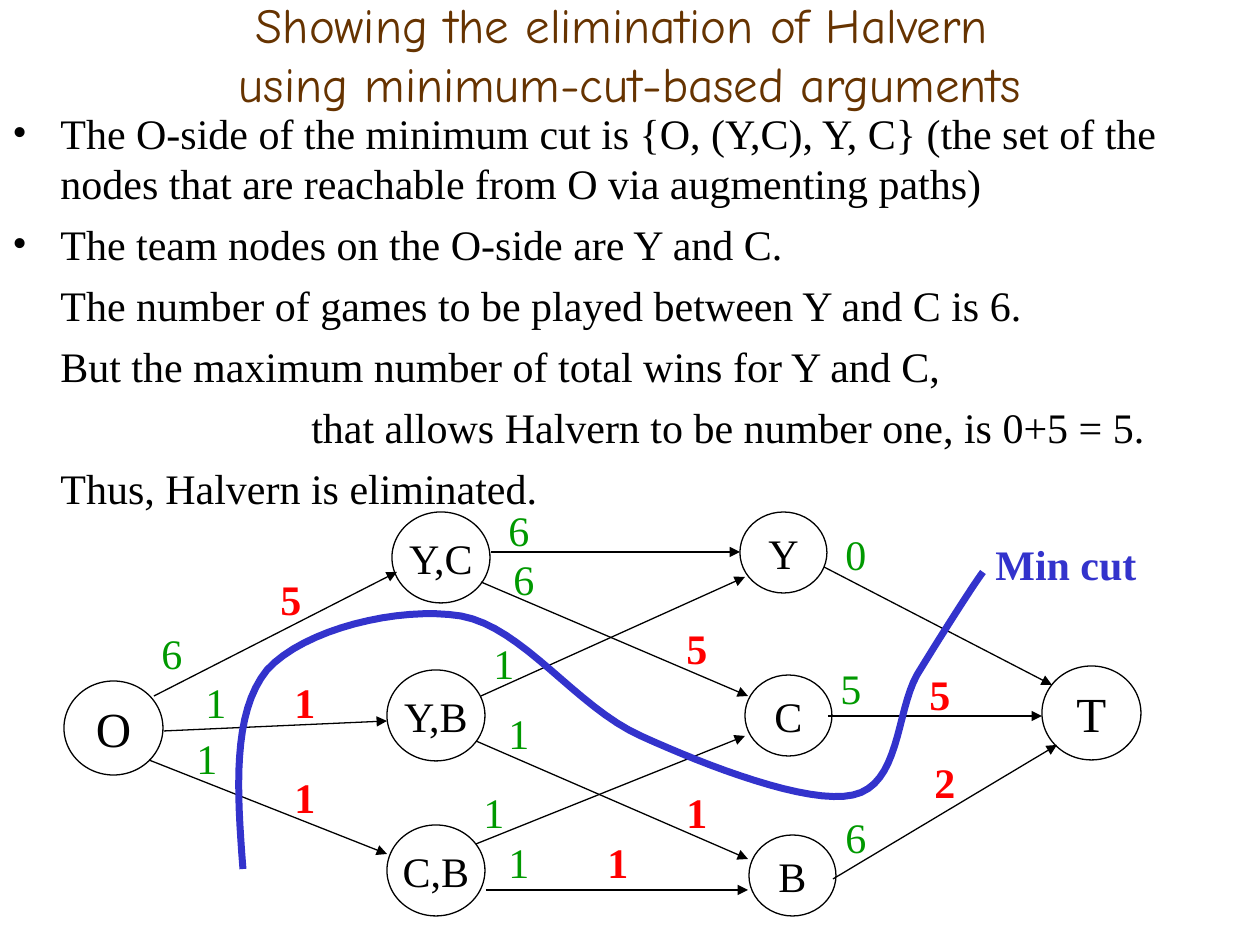
from lxml.etree import SubElement
from pptx import Presentation
from pptx.dml.color import RGBColor
from pptx.enum.shapes import MSO_CONNECTOR as Connector, MSO_SHAPE as Shape
from pptx.enum.text import MSO_ANCHOR as Anchor, PP_ALIGN as Align
from pptx.oxml.ns import qn
from pptx.util import Emu, Pt

SCALE = 914400 // 126
BLACK, WHITE, BROWN = "000000", "FFFFFF", "663300"
GREEN, RED, BLUE = "009900", "FF0000", "3333CC"


def px(length):
    return Emu(round(length * SCALE))


def color(value):
    return RGBColor.from_string(value)


def bezier(start, control1, control2, end, steps=16):
    for step in range(1, steps + 1):
        t = step / steps
        u = 1 - t
        yield tuple(
            u**3 * a + 3 * u * u * t * b + 3 * u * t * t * c + t**3 * d
            for a, b, c, d in zip(start, control1, control2, end)
        )


class Canvas:
    font = "Times New Roman"
    size = 24
    hairline = 0.75

    def __init__(self, slide):
        self.slide = slide
        self.shapes = slide.shapes

    def style(self, paragraph, size=size, fill=BLACK, bold=False, font=font):
        paragraph.font.name = font
        paragraph.font.size = Pt(size)
        paragraph.font.bold = bold
        paragraph.font.color.rgb = color(fill)

    def box(self, left, top, width, height, wrap=True):
        shape = self.shapes.add_textbox(px(left), px(top), px(width), px(height))
        shape.text_frame.word_wrap = wrap
        return shape.text_frame

    def title(self, text, left, top, width, height):
        frame = self.box(left, top, width, height)
        frame.vertical_anchor = Anchor.MIDDLE
        paragraph = frame.paragraphs[0]
        paragraph.text = text
        paragraph.alignment = Align.CENTER
        self.style(paragraph, 28, BROWN, font="Comic Neue")

    def body(self, items, left, top, width, height):
        frame = self.box(left, top, width, height)
        for index, (text, indent, bullet) in enumerate(items):
            paragraph = frame.add_paragraph() if index else frame.paragraphs[0]
            paragraph.text = text
            paragraph.space_before = Pt(6)
            self.style(paragraph)
            properties = paragraph._p.get_or_add_pPr()
            properties.set("marL", str(px(indent)))
            properties.set("indent", str(px(-indent if bullet else 0)))
            if bullet:
                default_run = properties.find(qn("a:defRPr"))
                for tag, key, value in [
                    ("a:buFont", "typeface", self.font), ("a:buChar", "char", "•")
                ]:
                    mark = SubElement(properties, qn(tag))
                    mark.set(key, value)
                    default_run.addprevious(mark)

    def label(self, text, left, top, width, fill, bold=False):
        paragraph = self.box(left, top, width, 63, wrap=False).paragraphs[0]
        paragraph.text = text
        self.style(paragraph, fill=fill, bold=bold)

    def node(self, text, left, top, width, height, size=size):
        shape = self.shapes.add_shape(Shape.OVAL, px(left), px(top), px(width), px(height))
        shape.shadow.inherit = False
        shape.fill.solid()
        shape.fill.fore_color.rgb = color(WHITE)
        self.stroke(shape.line, BLACK, self.hairline)
        frame = shape.text_frame
        frame.word_wrap = False
        frame.vertical_anchor = Anchor.MIDDLE
        frame.margin_left = frame.margin_right = frame.margin_top = frame.margin_bottom = 0
        paragraph = frame.paragraphs[0]
        paragraph.text = text
        paragraph.alignment = Align.CENTER
        self.style(paragraph, size)

    def stroke(self, line, fill, width):
        line.color.rgb = color(fill)
        line.width = Pt(width)

    def arrow(self, *ends):
        connector = self.shapes.add_connector(Connector.STRAIGHT, *map(px, ends))
        self.stroke(connector.line, BLACK, self.hairline)
        SubElement(connector.line._get_or_add_ln(), qn("a:tailEnd")).set("type", "triangle")
        SubElement(connector._element.spPr, qn("a:effectLst"))

    def curve(self, start, segments, fill, width):
        points = [start]
        for segment in segments:
            points.extend(bezier(points[-1], *segment))
        points = [(px(x), px(y)) for x, y in points]
        builder = self.shapes.build_freeform(*points[0])
        builder.add_line_segments(points[1:], close=False)
        shape = builder.convert_to_shape()
        shape.shadow.inherit = False
        shape.fill.background()
        self.stroke(shape.line, fill, width)


presentation = Presentation()
presentation.slide_width, presentation.slide_height = px(1260), px(945)
canvas = Canvas(presentation.slides.add_slide(presentation.slide_layouts[6]))

canvas.title(
    "Showing the elimination of Halvern \vusing minimum-cut-based arguments", 0, 0, 1260, 106
)
canvas.body(
    [
        ("The O-side of the minimum cut is {O, (Y,C), Y, C} (the set of the "
         "nodes that are reachable from O via augmenting paths)", 48, True),
        ("The team nodes on the O-side are Y and C.", 48, True),
        ("The number of games to be played between Y and C is 6.", 48, False),
        ("But the maximum number of total wins for Y and C,", 48, False),
        ("that allows Halvern to be number one, is 0+5 = 5.", 299, False),
        ("Thus, Halvern is eliminated.", 48, False),
    ],
    0, 101, 1260, 844,
)

capacities = [
    ("6", 149, 621), ("1", 193, 670), ("1", 184, 726),
    ("6", 496, 498), ("6", 501, 547), ("1", 481, 631),
    ("1", 496, 701), ("1", 471, 780), ("1", 496, 830),
    ("0", 833, 522), ("5", 828, 656), ("6", 833, 805),
]
for text, left, top in capacities:
    canvas.label(text, left, top, 49, GREEN)

for text, left, top in [("Y,C", 392, 512), ("Y,B", 387, 670), ("C,B", 387, 825)]:
    canvas.node(text, left, top, 98, 91)
for text, left, top in [("Y", 740, 512), ("C", 745, 675), ("B", 749, 835)]:
    canvas.node(text, left, top, 87, 81)
for text, left, top in [("O", 64, 681), ("T", 1042, 666)]:
    canvas.node(text, left, top, 99, 94, 28)

edges = [
    (154, 696, 397, 572), (164, 731, 387, 721), (149, 760, 387, 854),
    (491, 552, 740, 552), (481, 582, 748, 696), (481, 696, 745, 577),
    (476, 741, 748, 859), (476, 844, 745, 736), (486, 890, 748, 890),
    (824, 567, 1052, 685), (828, 716, 1042, 716), (833, 879, 1057, 745),
]
for edge in edges:
    canvas.arrow(*edge)

flows = [
    ("5", 268, 567), ("1", 282, 670), ("1", 282, 765), ("5", 674, 616),
    ("1", 674, 780), ("1", 595, 830), ("5", 917, 662), ("2", 922, 750),
]
for text, left, top in flows:
    canvas.label(text, left, top, 40, RED, bold=True)

canvas.curve(
    (243, 869),
    [
        ((237, 791), (232, 713), (267, 670)),
        ((304, 629), (399, 606), (461, 616)),
        ((523, 627), (576, 707), (641, 736)),
        ((707, 766), (808, 805), (853, 795)),
        ((900, 785), (896, 713), (917, 675)),
        ((939, 639), (970, 590), (983, 572)),
    ],
    BLUE, 4,
)
canvas.label("Min cut", 983, 532, 169, BLUE, bold=True)

presentation.save("out.pptx")
